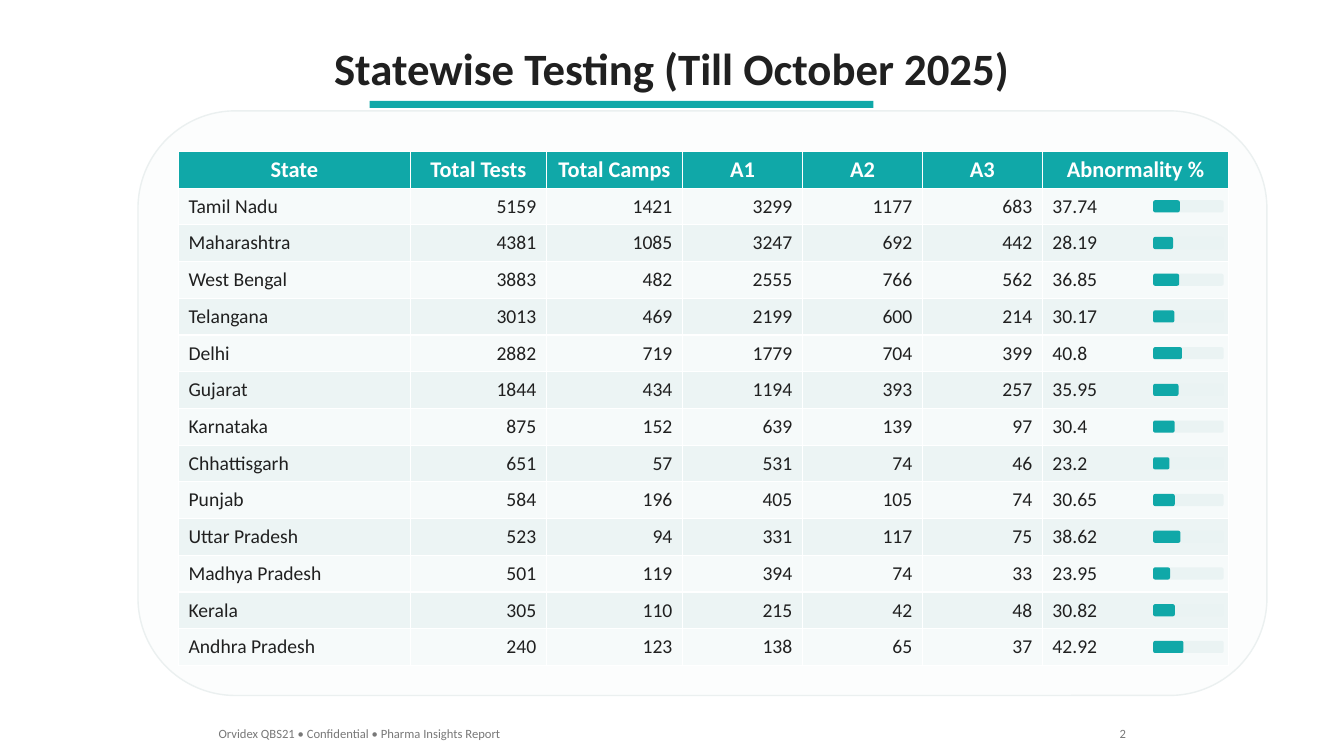
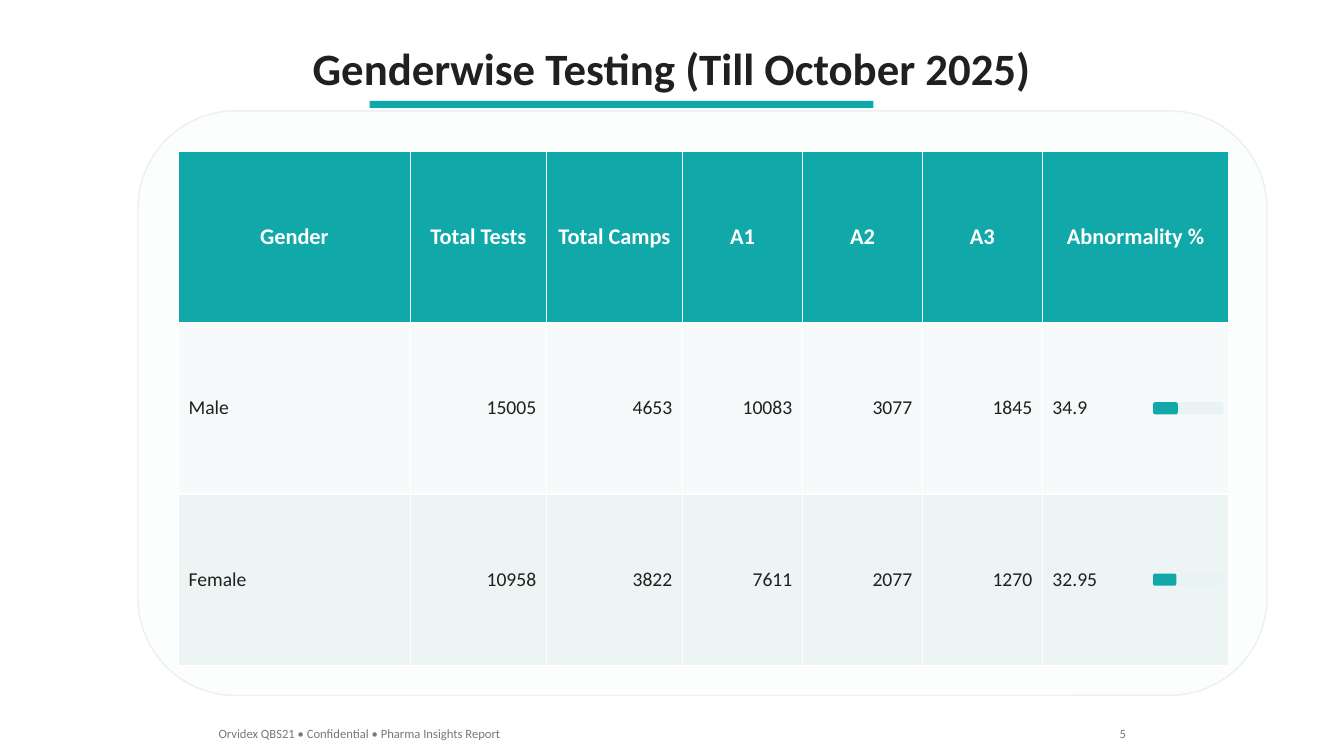
from pptx import Presentation
from pptx.dml.color import RGBColor
from pptx.enum.shapes import MSO_SHAPE
from pptx.enum.text import MSO_ANCHOR, MSO_AUTO_SIZE, PP_ALIGN
from pptx.util import Pt

RECT, ROUNDED = MSO_SHAPE.RECTANGLE, MSO_SHAPE.ROUNDED_RECTANGLE
LEFT, CENTER, RIGHT = PP_ALIGN.LEFT, PP_ALIGN.CENTER, PP_ALIGN.RIGHT
MIDDLE = MSO_ANCHOR.MIDDLE
FIT_SHAPE = MSO_AUTO_SIZE.SHAPE_TO_FIT_TEXT

MEASURES = ["Total Tests", "Total Camps", "A1", "A2", "A3", "Abnormality %"]

STATES = [
    ("Tamil Nadu", 5159, 1421, 3299, 1177, 683, 37.74),
    ("Maharashtra", 4381, 1085, 3247, 692, 442, 28.19),
    ("West Bengal", 3883, 482, 2555, 766, 562, 36.85),
    ("Telangana", 3013, 469, 2199, 600, 214, 30.17),
    ("Delhi", 2882, 719, 1779, 704, 399, 40.8),
    ("Gujarat", 1844, 434, 1194, 393, 257, 35.95),
    ("Karnataka", 875, 152, 639, 139, 97, 30.4),
    ("Chhattisgarh", 651, 57, 531, 74, 46, 23.2),
    ("Punjab", 584, 196, 405, 105, 74, 30.65),
    ("Uttar Pradesh", 523, 94, 331, 117, 75, 38.62),
    ("Madhya Pradesh", 501, 119, 394, 74, 33, 23.95),
    ("Kerala", 305, 110, 215, 42, 48, 30.82),
    ("Andhra Pradesh", 240, 123, 138, 65, 37, 42.92),
]

GENDERS = [
    ("Male", 15005, 4653, 10083, 3077, 1845, 34.9),
    ("Female", 10958, 3822, 7611, 2077, 1270, 32.95),
]


def rgb(hex_color):
    return RGBColor.from_string(hex_color)


class Report:
    """Holds the report style and the slide being built."""

    FONT = "Calibri"
    TEAL, INK, GREY, WHITE = "10A8A8", "202020", "787878", "FFFFFF"
    PANEL, PANEL_LINE, TRACK = "FCFDFD", "EBF0F0", "EAF3F3"
    BANDS = ("F6FAFA", "ECF4F4")
    TABLE_LEFT, TABLE_TOP, TABLE_HEIGHT = 127.5, 108, 367.2
    COLUMNS = (165.6, 97.2, 97.2, 85.7, 85.7, 85.7, 133.2)
    BAR_LEFT, BAR_WIDTH, BAR_HEIGHT = 823.7, 50.4, 8.64

    def __init__(self):
        self.prs = Presentation()
        self.prs.slide_width, self.prs.slide_height = Pt(960), Pt(540)
        self.slide = None

    def new_slide(self, title, page):
        self.slide = self.prs.slides.add_slide(self.prs.slide_layouts[6])
        self.text(title, 213.6, 25.2, 532.8, 46, 32, self.INK, CENTER, True)
        self.shape(RECT, 264, 72, 360, 5.04, self.TEAL)
        self.shape(ROUNDED, 98.6, 79.2, 806.4, 417.6, self.PANEL, self.PANEL_LINE)
        self.text("Orvidex QBS21 • Confidential • Pharma Insights Report",
                  149, 514.8, 219.6, 18, 9, self.GREY)
        self.text(str(page), 792, 514.8, 19.4, 18, 9, self.GREY, RIGHT)

    def add_text_run(self, tf, text, size, color, align=LEFT, bold=False):
        p = tf.paragraphs[0]
        p.alignment = align
        r = p.add_run()
        r.text = text
        r.font.name, r.font.size, r.font.bold = self.FONT, Pt(size), bold
        r.font.color.rgb = rgb(color)

    def text(self, text, x, y, w, h, size, color, align=LEFT, bold=False):
        tf = self.slide.shapes.add_textbox(Pt(x), Pt(y), Pt(w), Pt(h)).text_frame
        tf.word_wrap = False
        tf.auto_size = FIT_SHAPE
        self.add_text_run(tf, text, size, color, align, bold)

    def shape(self, kind, x, y, w, h, fill, line=None):
        sp = self.slide.shapes.add_shape(kind, Pt(x), Pt(y), Pt(w), Pt(h))
        sp.shadow.inherit = False
        sp.fill.solid()
        sp.fill.fore_color.rgb = rgb(fill)
        if line:
            sp.line.color.rgb = rgb(line)
            sp.line.width = Pt(1)
        else:
            sp.line.fill.background()

    def cell(self, cell, text, fill, size, color, align, bold=False):
        cell.fill.solid()
        cell.fill.fore_color.rgb = rgb(fill)
        cell.vertical_anchor = MIDDLE
        self.add_text_run(cell.text_frame, text, size, color, align, bold)

    def table(self, heading, rows):
        """Add the table and a bar for the last value of each row."""
        row_height = self.TABLE_HEIGHT / (len(rows) + 1)
        table = self.slide.shapes.add_table(
            len(rows) + 1, len(self.COLUMNS), Pt(self.TABLE_LEFT), Pt(self.TABLE_TOP),
            Pt(sum(self.COLUMNS)), Pt(self.TABLE_HEIGHT)).table
        for column, width in zip(table.columns, self.COLUMNS):
            column.width = Pt(width)
        for row in table.rows:
            row.height = Pt(row_height)
        for j, label in enumerate([heading] + MEASURES):
            self.cell(table.cell(0, j), label, self.TEAL, 16, self.WHITE, CENTER, True)
        last = len(self.COLUMNS) - 1
        for i, values in enumerate(rows, start=1):
            for j, value in enumerate(values):
                align = LEFT if j in (0, last) else RIGHT
                self.cell(table.cell(i, j), str(value), self.BANDS[(i - 1) % 2],
                          14, self.INK, align)
            self.bar(self.TABLE_TOP + (i + 0.5) * row_height, values[last])

    def bar(self, middle, percent):
        top = middle - self.BAR_HEIGHT / 2
        for share, color in ((100, self.TRACK), (percent, self.TEAL)):
            self.shape(ROUNDED, self.BAR_LEFT, top, self.BAR_WIDTH * share / 100,
                       self.BAR_HEIGHT, color)


def main():
    report = Report()
    for heading, page, rows in (("State", 2, STATES), ("Gender", 5, GENDERS)):
        report.new_slide(f"{heading}wise Testing (Till October 2025)", page)
        report.table(heading, rows)
    report.prs.save("out.pptx")


if __name__ == "__main__":
    main()
